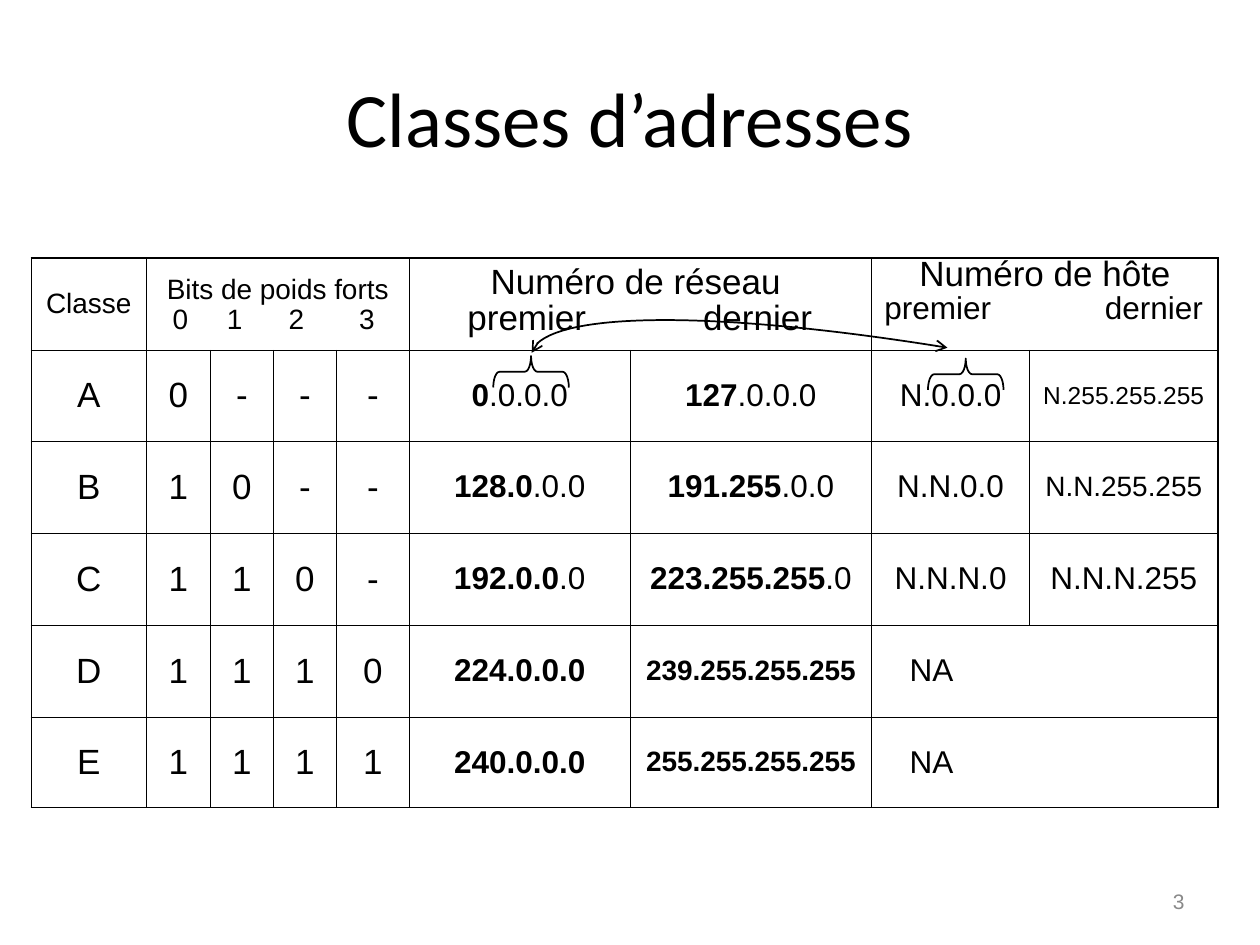
from lxml.etree import SubElement
from pptx import Presentation
from pptx.dml.color import RGBColor
from pptx.enum.shapes import MSO_SHAPE as Shape
from pptx.enum.text import MSO_ANCHOR as Anchor, PP_ALIGN as Align
from pptx.oxml.ns import qn
from pptx.util import Inches, Pt

BLACK, GREY = "000000", "898989"
THIN, THICK = 0.45, 1.08
COLUMN_WIDTHS = [0.91, 0.51, 0.5, 0.5, 0.58, 1.75, 1.92, 1.25, 1.5]
ROW_HEIGHTS = [0.73, 0.72, 0.73, 0.73, 0.73, 0.72]
CLASSES = [
    ("A", "0---", [("0|.0.0.0", 18), ("127|.0.0.0", 18), ("|N.0.0.0", 18), ("|N.255.255.255", 14)]),
    ("B", "10--", [("128.0|.0.0", 18), ("191.255|.0.0", 18), ("|N.N.0.0", 18), ("|N.N.255.255", 16)]),
    ("C", "110-", [("192.0.0|.0", 18), ("223.255.255|.0", 18), ("|N.N.N.0", 18), ("|N.N.N.255", 18)]),
    ("D", "1110", [("224.0.0.0|", 18), ("239.255.255.255|", 16)]),
    ("E", "1111", [("240.0.0.0|", 18), ("255.255.255.255|", 16)]),
]


def color(value):
    return RGBColor.from_string(value)


def write(paragraph, text, size=20, font="Arial", fill=BLACK, align=Align.CENTER,
          before=None, spacing=None, tabs=()):
    bold_part, separator, plain_part = text.partition("|")
    parts = [(bold_part, True), (plain_part, False)] if separator else [(text, False)]
    for part, bold in parts:
        if part:
            run = paragraph.add_run()
            run.text = part
            run.font.size = Pt(size)
            run.font.name = font
            run.font.bold = bold
            run.font.color.rgb = color(fill)
    paragraph.alignment = align
    if before is not None:
        paragraph.space_before = Pt(before)
    if spacing:
        paragraph.line_spacing = spacing
    if tabs:
        tab_list = SubElement(paragraph._p.get_or_add_pPr(), qn("a:tabLst"))
        for position in tabs:
            SubElement(tab_list, qn("a:tab"), pos=str(Inches(position)), algn="l")


def write_cell(cell, text, size=20, anchor=Anchor.MIDDLE, extra=False, **formats):
    cell.vertical_anchor = anchor
    frame = cell.text_frame
    paragraph = frame.add_paragraph() if extra else frame.paragraphs[0]
    write(paragraph, text, size, before=size / 4, **formats)


def set_borders(cell, **widths):
    properties = cell._tc.get_or_add_tcPr()
    for side, width in widths.items():
        line = SubElement(properties, qn(f"a:ln{side}"), w=str(Pt(width)))
        SubElement(SubElement(line, qn("a:solidFill")), qn("a:srgbClr"), val=BLACK)


def style_cells(table):
    last_row, last_column = len(ROW_HEIGHTS) - 1, len(COLUMN_WIDTHS) - 1
    for row in range(last_row + 1):
        for column in range(last_column + 1):
            cell = table.cell(row, column)
            if not cell.is_spanned:
                end = column + cell.span_width - 1
                set_borders(cell,
                            L=THICK if column == 0 else THIN,
                            R=THICK if end == last_column else THIN,
                            T=THICK if row == 0 else THIN,
                            B=THICK if row == last_row else THIN)
            cell.fill.background()


def fill_header(table):
    for first, last in [(1, 4), (5, 6), (7, 8)]:
        table.cell(0, first).merge(table.cell(0, last))
    write_cell(table.cell(0, 0), "Classe", 16)
    bits, network, host = (table.cell(0, column) for column in (1, 5, 7))
    write_cell(bits, "Bits de poids forts", 16)
    write_cell(bits, "\t0\t1\t2\t3", 16, extra=True, align=Align.LEFT, spacing=0.7,
               tabs=(0.11, 0.54, 1.03, 1.59))
    write_cell(network, "Numéro de réseau ", spacing=0.7)
    write_cell(network, "\tpremier\tdernier", extra=True, align=Align.LEFT, spacing=0.7,
               tabs=(0.36, 2.23))
    write_cell(host, "Numéro de hôte", anchor=Anchor.TOP, spacing=0.7)
    write_cell(host, "premier\tdernier", 18, anchor=Anchor.TOP, extra=True,
               align=Align.LEFT, spacing=0.7, tabs=(1.75,))


def fill_classes(table):
    for row, (name, bits, addresses) in enumerate(CLASSES, start=1):
        for column, text in enumerate(name + bits):
            write_cell(table.cell(row, column), text)
        for column, (text, size) in enumerate(addresses, start=5):
            write_cell(table.cell(row, column), text, size)
        if len(addresses) == 2:
            host = table.cell(row, 7)
            host.merge(table.cell(row, 8))
            write_cell(host, "NA", 18, align=Align.LEFT)
            host.margin_left = Inches(0.3)


def add_address_table(slide):
    table = slide.shapes.add_table(
        len(ROW_HEIGHTS), len(COLUMN_WIDTHS), Inches(0.25), Inches(2.05),
        Inches(sum(COLUMN_WIDTHS)), Inches(sum(ROW_HEIGHTS))).table
    table.first_row = table.horz_banding = False
    for column, width in zip(table.columns, COLUMN_WIDTHS):
        column.width = Inches(width)
    for row, height in zip(table.rows, ROW_HEIGHTS):
        row.height = Inches(height)
    fill_header(table)
    fill_classes(table)
    style_cells(table)


def outline(shape):
    shape.shadow.inherit = False
    shape.fill.background()
    shape.line.color.rgb = color(BLACK)
    shape.line.width = Pt(1)


def add_brace(slide, left, top):
    brace = slide.shapes.add_shape(Shape.RIGHT_BRACE, Inches(left), Inches(top),
                                   Inches(0.25), Inches(0.6))
    brace.rotation = 270
    brace.adjustments[0] = 0.2
    outline(brace)


def add_curved_arrow(slide, points):
    start, *others = [(Inches(x), Inches(y)) for x, y in points]
    builder = slide.shapes.build_freeform(*start)
    builder.add_line_segments(others, close=False)
    arrow = builder.convert_to_shape()
    outline(arrow)
    path = arrow._element.find(f".//{qn('a:path')}")
    curve = SubElement(path, qn("a:cubicBezTo"))
    for segment in path.findall(qn("a:lnTo")):
        curve.append(segment[0])
        path.remove(segment)
    line = arrow.line._get_or_add_ln()
    for end in ("a:headEnd", "a:tailEnd"):
        SubElement(line, qn(end), type="arrow")


def add_title(slide, text):
    title = slide.shapes.title
    title.left, title.top = Inches(0.5), Inches(0.3)
    title.width, title.height = Inches(9), Inches(1.25)
    title.text_frame.vertical_anchor = Anchor.MIDDLE
    write(title.text_frame.paragraphs[0], text, 44, font="Calibri")


def add_slide_number(slide, text):
    box = slide.shapes.add_textbox(Inches(7.17), Inches(6.95), Inches(2.33), Inches(0.4))
    box.text_frame.word_wrap = True
    box.text_frame.vertical_anchor = Anchor.MIDDLE
    write(box.text_frame.paragraphs[0], text, 12, fill=GREY, align=Align.RIGHT)


def main():
    presentation = Presentation()
    presentation.slide_width, presentation.slide_height = Inches(10), Inches(7.5)
    slide = presentation.slides.add_slide(presentation.slide_layouts[5])
    add_title(slide, "Classes d’adresses")
    add_address_table(slide)
    add_brace(slide, 4.09, 2.65)
    add_brace(slide, 7.54, 2.67)
    add_curved_arrow(slide, [(7.52, 2.76), (5.74, 2.47), (4.28, 2.48), (4.22, 2.8)])
    add_slide_number(slide, "3")
    presentation.save("out.pptx")


if __name__ == "__main__":
    main()
